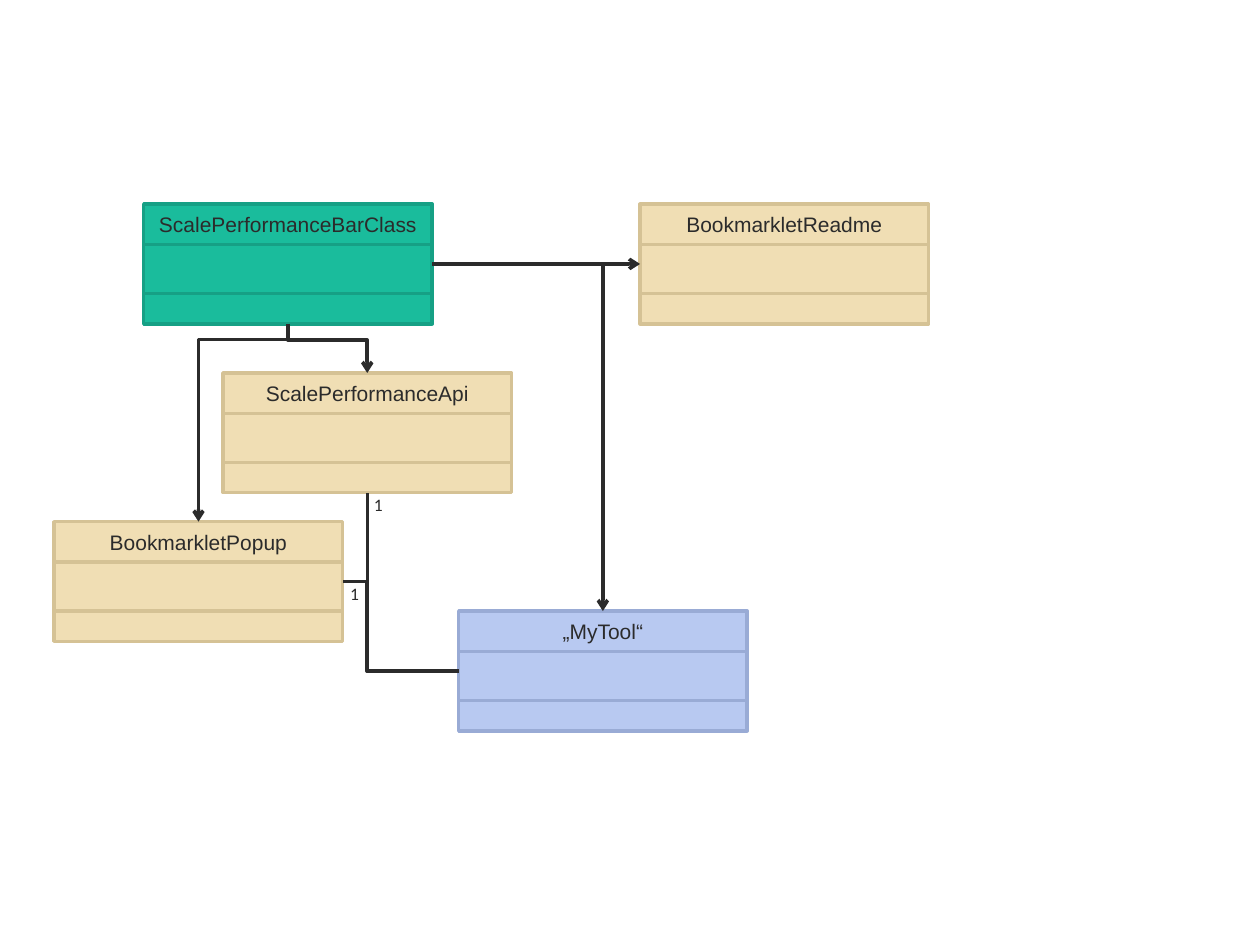
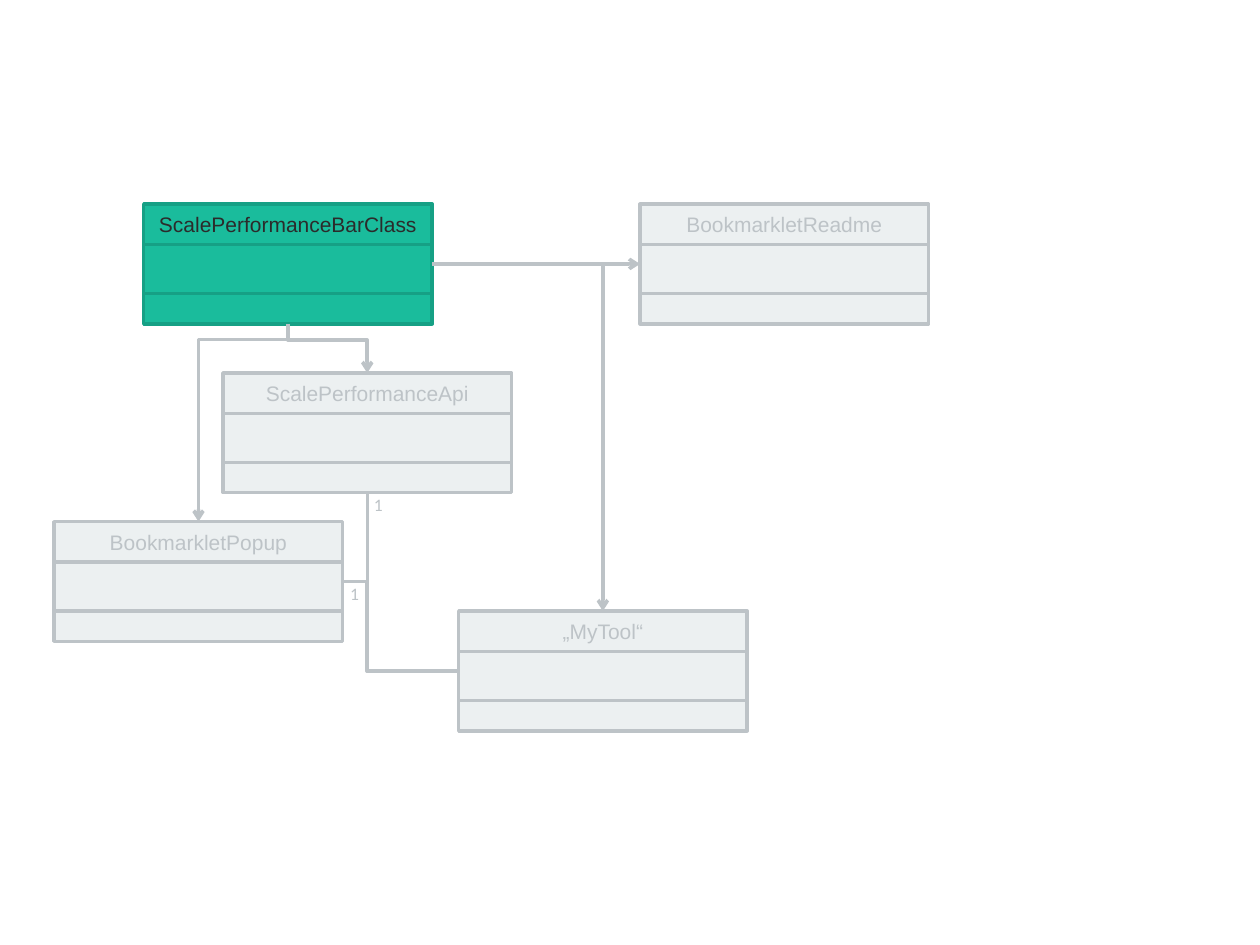
"""Build two class diagrams: the full view and a view that highlights one class."""
from dataclasses import dataclass

from lxml import etree
from pptx import Presentation
from pptx.dml.color import RGBColor
from pptx.enum.shapes import MSO_CONNECTOR, MSO_SHAPE
from pptx.enum.text import MSO_ANCHOR, PP_ALIGN
from pptx.oxml.ns import qn
from pptx.shapes.autoshape import Shape
from pptx.shapes.connector import Connector
from pptx.slide import Slide
from pptx.text.text import TextFrame
from pptx.util import Inches, Pt

RECTANGLE = MSO_SHAPE.RECTANGLE
STRAIGHT, ELBOW = MSO_CONNECTOR.STRAIGHT, MSO_CONNECTOR.ELBOW
TOP_ANCHOR, CENTER, LEFT_ALIGN = MSO_ANCHOR.TOP, PP_ALIGN.CENTER, PP_ALIGN.LEFT
TOP, LEFT, BOTTOM, RIGHT = range(4)

COLORS = {
    "ink": "2B2B2B",
    "main fill": "1ABC9C", "main line": "16A085",
    "helper fill": "F0DEB4", "helper line": "D5C295",
    "tool fill": "B8C9F1", "tool line": "99ABD5",
    "muted fill": "ECF0F1", "muted line": "BDC3C7",
}
CLASS_WIDTH, CLASS_HEIGHT = 2.29, 0.95
DIVIDER_OFFSETS = (0.32, 0.71)
LINE_WIDTH = Pt(2)


@dataclass(frozen=True)
class ClassBox:
    """A class with its name, position and colour role."""
    name: str
    left: float
    top: float
    role: str


@dataclass(frozen=True)
class Link:
    """A connector between the sides of two classes."""
    source: str
    source_side: int
    target: str
    target_side: int
    preset: str
    turn: int = 0
    flipped: bool = False
    bend: float | None = None
    arrow: bool = True


@dataclass(frozen=True)
class Multiplicity:
    """A small number beside the end of a link."""
    text: str
    left: float
    top: float
    width: float


BAR, POPUP, API = "ScalePerformanceBarClass", "BookmarkletPopup", "ScalePerformanceApi"
README, TOOL = "BookmarkletReadme", "„MyTool“"

CLASSES = (
    ClassBox(BAR, 1.14, 1.62, "main"),
    ClassBox(POPUP, 0.43, 4.14, "helper"),
    ClassBox(API, 1.77, 2.96, "helper"),
    ClassBox(README, 5.08, 1.62, "helper"),
    ClassBox(TOOL, 3.64, 4.85, "tool"),
)
LINKS = (
    Link(BAR, BOTTOM, POPUP, TOP, "bentConnector3", turn=90, bend=0.08),
    Link(BAR, BOTTOM, API, TOP, "bentConnector3", turn=270, flipped=True, bend=0.33),
    Link(BAR, RIGHT, README, LEFT, "line"),
    Link(BAR, RIGHT, TOOL, TOP, "bentConnector2"),
    Link(TOOL, LEFT, POPUP, RIGHT, "bentConnector3", turn=180, bend=0.79, arrow=False),
    Link(TOOL, LEFT, API, BOTTOM, "bentConnector2", turn=180, arrow=False),
)
MULTIPLICITIES = (
    Multiplicity("1", 2.87, 3.87, 0.23),
    Multiplicity("1", 2.68, 4.58, 0.27),
)


def rgb(color: str) -> RGBColor:
    """Look up a named colour."""
    return RGBColor.from_string(COLORS[color])


def write(frame: TextFrame, text: str, font: str, size: int, color: str, align: PP_ALIGN) -> None:
    """Set and format a single paragraph."""
    frame.word_wrap = True
    frame.vertical_anchor = TOP_ANCHOR
    para = frame.paragraphs[0]
    para.text = text
    para.alignment = align
    span = para.runs[0]
    span.font.name = font
    span.font.size = Pt(size)
    span.font.color.rgb = rgb(color)


def style_line(connector: Connector, color: str) -> None:
    """Give a connector its colour and width, without a shadow."""
    connector.line.color.rgb = rgb(color)
    connector.line.width = LINE_WIDTH
    etree.SubElement(connector._element.spPr, qn("a:effectLst"))


def draw_class(page: Slide, item: ClassBox, role: str, ink: str) -> Shape:
    """Draw a class box with its two dividers."""
    box = page.shapes.add_shape(RECTANGLE, Inches(item.left), Inches(item.top),
                                Inches(CLASS_WIDTH), Inches(CLASS_HEIGHT))
    box.shadow.inherit = False
    box.fill.solid()
    box.fill.fore_color.rgb = rgb(f"{role} fill")
    box.line.color.rgb = rgb(f"{role} line")
    box.line.width = LINE_WIDTH
    frame = box.text_frame
    frame.margin_left = frame.margin_right = Inches(0.05)
    frame.margin_top = Inches(0.06)
    write(frame, item.name, "Arial", 12, ink, CENTER)
    for offset in DIVIDER_OFFSETS:
        height = Inches(item.top + offset)
        divider = page.shapes.add_connector(STRAIGHT, box.left, height, box.left + box.width, height)
        style_line(divider, f"{role} line")
    return box


def orient(connector: Connector, link: Link) -> None:
    """Turn an elbow connector about its centre and set its bend."""
    begin_x, begin_y = connector.begin_x, connector.begin_y
    end_x, end_y = connector.end_x, connector.end_y
    width, height = abs(end_x - begin_x), abs(end_y - begin_y)
    if link.turn in (90, 270):
        width, height = height, width
    connector.left = (begin_x + end_x - width) // 2
    connector.top = (begin_y + end_y - height) // 2
    connector.width, connector.height = width, height
    frame = connector._element.spPr.find(qn("a:xfrm"))
    frame.set("rot", str(link.turn * 60000))
    frame.set("flipH", str(int(link.flipped)))
    frame.set("flipV", "0")
    geometry = connector._element.spPr.find(qn("a:prstGeom"))
    geometry.set("prst", link.preset)
    if link.bend is not None:
        guides = geometry.find(qn("a:avLst"))
        etree.SubElement(guides, qn("a:gd"), name="adj1", fmla=f"val {round(link.bend * 100000)}")


def draw_link(page: Slide, link: Link, boxes: dict[str, Shape], color: str) -> None:
    """Join two class boxes."""
    kind = STRAIGHT if link.preset == "line" else ELBOW
    connector = page.shapes.add_connector(kind, 0, 0, 0, 0)
    connector.begin_connect(boxes[link.source], link.source_side)
    connector.end_connect(boxes[link.target], link.target_side)
    if kind == ELBOW:
        orient(connector, link)
    style_line(connector, color)
    if link.arrow:
        etree.SubElement(connector.line._get_or_add_ln(), qn("a:tailEnd"), type="arrow")


def draw_multiplicity(page: Slide, item: Multiplicity, color: str) -> None:
    """Write a multiplicity beside a link."""
    box = page.shapes.add_textbox(Inches(item.left), Inches(item.top), Inches(item.width), Inches(0.27))
    write(box.text_frame, item.text, "Calibri", 10, color, LEFT_ALIGN)


def draw_diagram(page: Slide, highlight: str | None = None) -> None:
    """Draw the diagram, muting everything but the highlighted class if there is one."""
    link_color = "muted line" if highlight else "ink"
    boxes = {}
    for item in CLASSES:
        muted = highlight is not None and item.name != highlight
        role, ink = ("muted", "muted line") if muted else (item.role, "ink")
        boxes[item.name] = draw_class(page, item, role, ink)
    for link in LINKS:
        draw_link(page, link, boxes, link_color)
    for number in MULTIPLICITIES:
        draw_multiplicity(page, number, link_color)


def main() -> None:
    """Build and save the deck."""
    deck = Presentation()
    deck.slide_width, deck.slide_height = Inches(10), Inches(7.5)
    blank = deck.slide_layouts[6]
    for highlight in (None, BAR):
        draw_diagram(deck.slides.add_slide(blank), highlight)
    deck.save("out.pptx")


if __name__ == "__main__":
    main()
